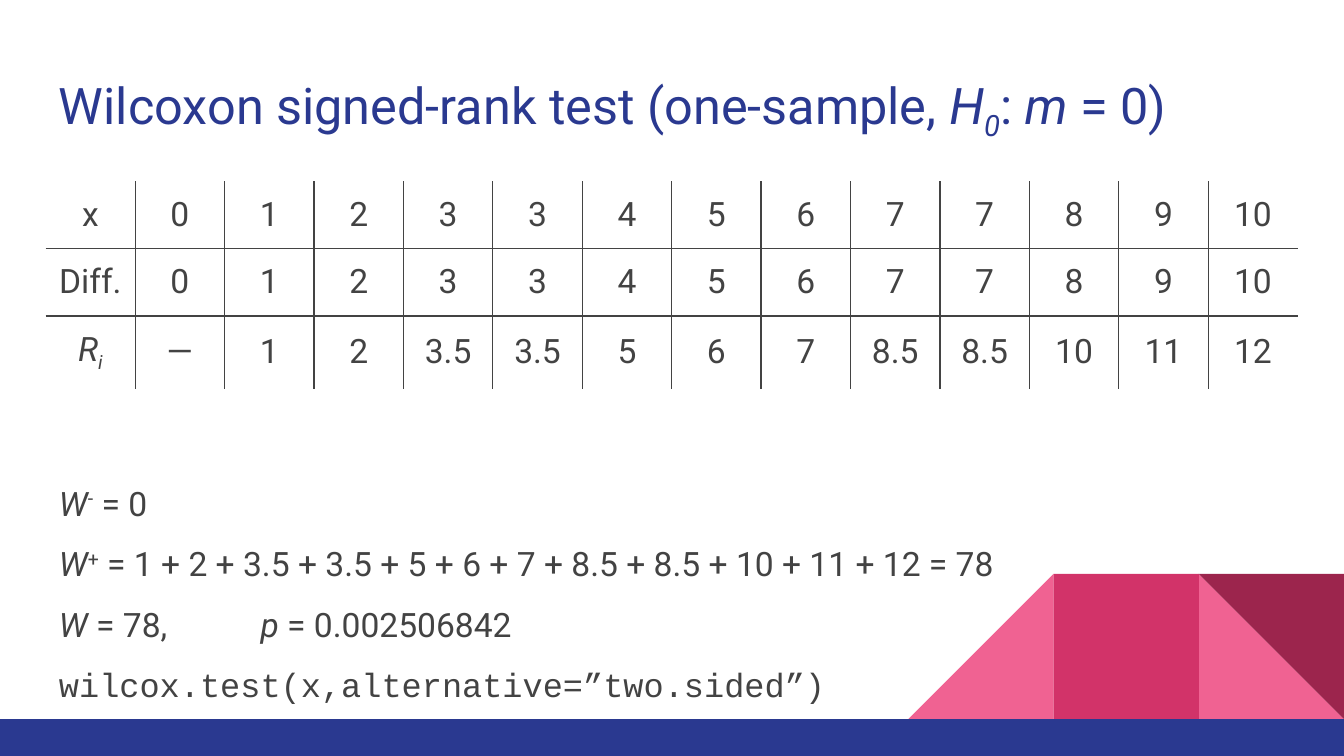
from dataclasses import dataclass
from pptx import Presentation
from pptx import util as u
from pptx.dml.color import RGBColor
from pptx.enum import shapes, text
from lxml import etree

# ---- Content: a line is a list of (text, style) pieces ----
TITLE = [("Wilcoxon signed-rank test (one-sample, ", ""), ("H", "i"),
         ("0", "i sub"), (": ", ""), ("m", "i"), (" = 0)", "")]
values = [0, 1, 2, 3, 3, 4, 5, 6, 7, 7, 8, 9, 10]
ranks = ["—", 1, 2, 3.5, 3.5, 5, 6, 7, 8.5, 8.5, 10, 11, 12]
RANK_TABLE = [
    ([("x", "")], values),
    ([("Diff.", "")], values),
    ([("R", "i"), ("i", "i sub")], ranks),
]
RESULTS = [
    [("W", "i"), ("-", "sup"), (" = 0", "")],
    [("W", "i"), ("+", "sup"),
     (" = 1 + 2 + 3.5 + 3.5 + 5 + 6 + 7 + 8.5 + 8.5 + 10 + 11 + 12 = 78", "")],
    [("W", "i"), (" = 78,\t\t", ""), ("p", "i"), (" = 0.002506842", "")],
    [("wilcox.test(x,alternative=”two.sided”)", "code")],
]


@dataclass(frozen=True)
class Theme:
    navy: str = "2A3990"
    ink: str = "434343"
    light_pink: str = "F06292"
    pink: str = "D23369"
    wine: str = "9C254D"
    font: str = "Roboto"
    code_font: str = "Courier New"
    title_size: float = 27
    body_size: float = 18
    rule_width: float = 0.75


theme = Theme()

# ---- Layout, in inches ----
WIDTH, HEIGHT = 10, 5.625
MARGIN = 0.34
CONTENT_WIDTH = WIDTH - 2 * MARGIN
BAND_TOP = 5.35
TILE = 1.08
ROW_HEIGHTS = [0.49, 0.49, 0.52]

BASELINES = {"sub": "-25000", "sup": "30000"}

deck = Presentation()
deck.slide_width, deck.slide_height = u.Inches(WIDTH), u.Inches(HEIGHT)
slide = deck.slides.add_slide(deck.slide_layouts[6])


def write(paragraph, pieces, size, color):
    for words, style in pieces:
        run = paragraph.add_run()
        run.text = words
        marks = style.split()
        run.font.name = theme.code_font if "code" in marks else theme.font
        run.font.size = u.Pt(size)
        run.font.color.rgb = RGBColor.from_string(color)
        run.font.italic = "i" in marks
        for mark in BASELINES.keys() & set(marks):
            run.font._element.set("baseline", BASELINES[mark])


def add_text(lines, top, height, size, color, spacing=1.0):
    box = slide.shapes.add_textbox(*map(u.Inches, (MARGIN, top, CONTENT_WIDTH, height)))
    frame = box.text_frame
    frame.word_wrap = True
    frame.margin_left = frame.margin_right = u.Inches(0.1)
    frame.margin_top = frame.margin_bottom = u.Inches(0.1)
    for i, pieces in enumerate(lines):
        paragraph = frame.paragraphs[0] if i == 0 else frame.add_paragraph()
        paragraph.line_spacing = spacing
        write(paragraph, pieces, size, color)


def add_block(kind, left, top, width, height, color):
    block = slide.shapes.add_shape(kind, *map(u.Inches, (left, top, width, height)))
    block.shadow.inherit = False
    block.fill.solid()
    block.fill.fore_color.rgb = RGBColor.from_string(color)
    block.line.fill.background()
    return block


def set_borders(cell, visible):
    ns = "{http://schemas.openxmlformats.org/drawingml/2006/main}"
    props = cell._tc.get_or_add_tcPr()
    for side in "LRTB":
        line = etree.SubElement(props, f"{ns}ln{side}", w=str(u.Pt(theme.rule_width)))
        if side in visible:
            fill = etree.SubElement(line, f"{ns}solidFill")
            etree.SubElement(fill, f"{ns}srgbClr", val=theme.ink)
        else:
            etree.SubElement(line, f"{ns}noFill")


# ---- Corner ornament and bottom band ----
TRIANGLE, RECTANGLE = shapes.MSO_SHAPE.RIGHT_TRIANGLE, shapes.MSO_SHAPE.RECTANGLE
ornament = [  # kind, column, colour, flipped, rotation
    (TRIANGLE, 2, theme.light_pink, False, 0),
    (TRIANGLE, 0, theme.light_pink, True, 0),
    (RECTANGLE, 1, theme.pink, False, 0),
    (TRIANGLE, 2, theme.wine, False, 180),
]
for kind, column, color, flipped, rotation in ornament:
    tile = add_block(kind, WIDTH - (3 - column) * TILE, BAND_TOP - TILE, TILE, TILE, color)
    tile.rotation = rotation
    if flipped:
        tile.element.spPr.xfrm.set("flipH", "1")
add_block(RECTANGLE, 0, BAND_TOP, WIDTH, HEIGHT - BAND_TOP, theme.navy)

# ---- Title ----
add_text([TITLE], 0.45, 0.66, theme.title_size, theme.navy)

# ---- Rank table: inner rules only ----
row_count, column_count = len(RANK_TABLE), len(values) + 1
rank_table = slide.shapes.add_table(
    row_count, column_count,
    *map(u.Inches, (MARGIN, 1.35, CONTENT_WIDTH, sum(ROW_HEIGHTS)))).table
rank_table.first_row = rank_table.horz_banding = False
for column in rank_table.columns:
    column.width = u.Inches(CONTENT_WIDTH / column_count)
for r, (label, numbers) in enumerate(RANK_TABLE):
    rank_table.rows[r].height = u.Inches(ROW_HEIGHTS[r])
    for c, pieces in enumerate([label] + [[(str(n), "")] for n in numbers]):
        cell = rank_table.cell(r, c)
        inner = {"L": c > 0, "R": c < column_count - 1, "T": r > 0, "B": r < row_count - 1}
        set_borders(cell, [side for side, shown in inner.items() if shown])
        cell.fill.background()
        cell.vertical_anchor = text.MSO_ANCHOR.MIDDLE
        cell.margin_left = cell.margin_right = u.Inches(0.1)
        cell.margin_top = cell.margin_bottom = u.Inches(0.1)
        paragraph = cell.text_frame.paragraphs[0]
        paragraph.alignment = text.PP_ALIGN.CENTER
        write(paragraph, pieces, theme.body_size, theme.ink)

# ---- Test results ----
add_text(RESULTS, 3.34, 1.87, theme.body_size, theme.ink, spacing=1.5)

deck.save("out.pptx")
